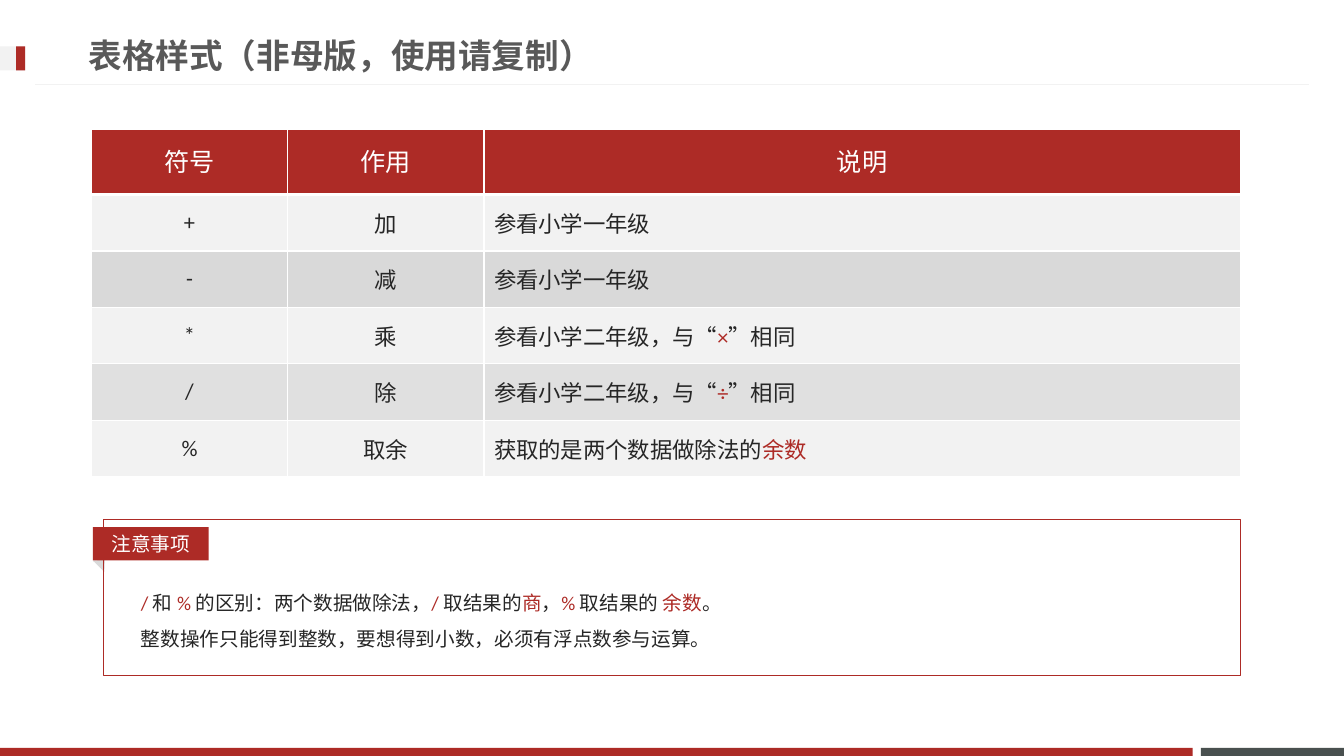
from lxml import etree
from pptx import Presentation
from pptx import util as u
from pptx.dml.color import RGBColor
from pptx.enum import shapes, text
from pptx.oxml import ns

WIDTH, HEIGHT = 13.33, 7.5
RED, INK, WHITE, PALE, GREY, SLATE = "AD2B26", "262626", "FFFFFF", "F2F2F2", "D9D9D9", "49504F"
TITLE = "表格样式（非母版，使用请复制）"
HEADER = ["符号", "作用", "说明"]
OPERATORS = [
    ("+", "加", "参看小学一年级"),
    ("-", "减", "参看小学一年级"),
    ("*", "乘", "参看小学二年级，与“|×|”相同"),
    ("/", "除", "参看小学二年级，与“|÷|”相同"),
    ("%", "取余", "获取的是两个数据做除法的|余数"),
]
ROW_FILLS = [(RED, 100), (PALE, 100), (GREY, 100), (PALE, 100), (GREY, 80), (PALE, 100)]
NOTE_LABEL = "注意事项"
NOTES = [
    "|/ |和 |% |的区别：两个数据做除法，|/ |取结果的|商|，|% |取结果的 |余数|。",
    "整数操作只能得到整数，要想得到小数，必须有浮点数参与运算。",
]

LEFT, RIGHT = 0.91, 12.3
TABLE_TOP, HEADER_HEIGHT, ROW_HEIGHT = 1.28, 0.65, 0.56
COLUMNS = [1.94, 1.95, RIGHT - LEFT - 3.89]
NOTE_LEFT, NOTE_TOP, NOTE_HEIGHT = 1.03, 5.15, 1.55
LABEL_TOP, LABEL_HEIGHT = 5.23, 0.33
MARK_TOP, MARK_HEIGHT, MARK_WIDTH = 0.46, 0.24, 0.25
FOOTER_TOP, FOOTER_SPLIT, FOOTER_GAP = 7.42, 11.83, 0.08

presentation = Presentation()
presentation.slide_width, presentation.slide_height = u.Inches(WIDTH), u.Inches(HEIGHT)
slide = presentation.slides.add_slide(presentation.slide_layouts[6])


def color(value):
    return RGBColor.from_string(value)


def box(*lengths):
    return [u.Inches(length) for length in lengths]


def write(frame, content, size, ink=INK, bold=False, align=None, spacing=None, middle=True):
    frame.word_wrap = True
    if middle:
        frame.vertical_anchor = text.MSO_ANCHOR.MIDDLE
    lines = [content] if isinstance(content, str) else content
    for index, line in enumerate(lines):
        paragraph = frame.add_paragraph() if index else frame.paragraphs[0]
        paragraph.alignment = align
        paragraph.line_spacing = spacing
        for part, words in enumerate(line.split("|")):
            if words:
                run = paragraph.add_run()
                run.text = words
                run.font.size, run.font.name, run.font.bold = u.Pt(size), "Calibri", bold
                run.font.color.rgb = color(RED if part % 2 else ink)


def draw(place, fill=None, line=None, kind=shapes.MSO_SHAPE.RECTANGLE):
    shape = slide.shapes.add_shape(kind, *box(*place))
    shape.shadow.inherit = False
    if fill:
        shape.fill.solid()
        shape.fill.fore_color.rgb = color(fill)
    else:
        shape.fill.background()
    if line:
        shape.line.color.rgb = color(line)
        shape.line.width = u.Pt(0.75)
    else:
        shape.line.fill.background()
    return shape


def style_cell(cell, fill, opacity, top, bottom):
    cell.fill.solid()
    cell.fill.fore_color.rgb = color(fill)
    properties = cell._tc.get_or_add_tcPr()
    if opacity < 100:
        tint = properties.find(".//" + ns.qn("a:srgbClr"))
        etree.SubElement(tint, ns.qn("a:alpha"), val=str(opacity * 1000))
    for index, (side, width) in enumerate([("L", 1), ("R", 1), ("T", top), ("B", bottom)]):
        border = etree.Element(ns.qn("a:ln" + side), w=str(u.Pt(width)))
        solid = etree.SubElement(border, ns.qn("a:solidFill"))
        etree.SubElement(solid, ns.qn("a:srgbClr"), val=WHITE)
        properties.insert(index, border)


def add_frame():
    footer_right = FOOTER_SPLIT + FOOTER_GAP
    draw((footer_right, FOOTER_TOP, WIDTH - footer_right, HEIGHT - FOOTER_TOP), SLATE)
    draw((0, FOOTER_TOP, FOOTER_SPLIT, HEIGHT - FOOTER_TOP), RED)
    rule = slide.shapes.add_connector(
        shapes.MSO_CONNECTOR.STRAIGHT, *box(0.35, 0.84, WIDTH - 0.35, 0.84))
    rule.line.color.rgb = color(PALE)
    rule.line.width = u.Pt(0.75)
    etree.SubElement(rule._element.spPr, ns.qn("a:effectLst"))
    draw((0, MARK_TOP, MARK_WIDTH, MARK_HEIGHT), PALE)
    draw((MARK_WIDTH - 0.09, MARK_TOP, 0.09, MARK_HEIGHT), RED)
    title = slide.shapes.add_textbox(*box(0.78, 0.26, 9.59, 0.57))
    write(title.text_frame, TITLE, 24, ink="595959", bold=True)


def add_operator_table():
    rows = [HEADER, *OPERATORS]
    heights = [HEADER_HEIGHT] + [ROW_HEIGHT] * len(OPERATORS)
    table = slide.shapes.add_table(
        len(rows), len(COLUMNS), *box(LEFT, TABLE_TOP, sum(COLUMNS), sum(heights))).table
    for column, width in zip(table.columns, COLUMNS):
        column.width = u.Inches(width)
    for index, (row, height, (fill, opacity)) in enumerate(zip(rows, heights, ROW_FILLS)):
        table.rows[index].height = u.Inches(height)
        is_header = index == 0
        for position, words in enumerate(row):
            cell = table.cell(index, position)
            style_cell(cell, fill, opacity, 3 if index == 1 else 1, 3 if is_header else 1)
            cell.vertical_anchor = text.MSO_ANCHOR.MIDDLE
            centred = is_header or position < 2
            write(cell.text_frame, words, 18 if is_header else 16,
                  ink=WHITE if is_header else INK,
                  align=text.PP_ALIGN.CENTER if centred else None,
                  spacing=u.Pt(24) if is_header else None, middle=False)


def add_note():
    fold = draw((0.93, 5.54, 0.16, 0.09), GREY, kind=shapes.MSO_SHAPE.ISOSCELES_TRIANGLE)
    fold.rotation = 44.2
    notes = slide.shapes.add_textbox(*box(1.3, 5.7, 7.4, 0.77))
    write(notes.text_frame, NOTES, 14, spacing=1.5, middle=False)
    draw((NOTE_LEFT, NOTE_TOP, RIGHT - NOTE_LEFT, NOTE_HEIGHT), line=RED)
    label = draw((0.92, LABEL_TOP, 1.15, LABEL_HEIGHT), RED)
    write(label.text_frame, NOTE_LABEL, 14, ink=WHITE, align=text.PP_ALIGN.CENTER)


add_frame()
add_operator_table()
add_note()
presentation.save("out.pptx")
